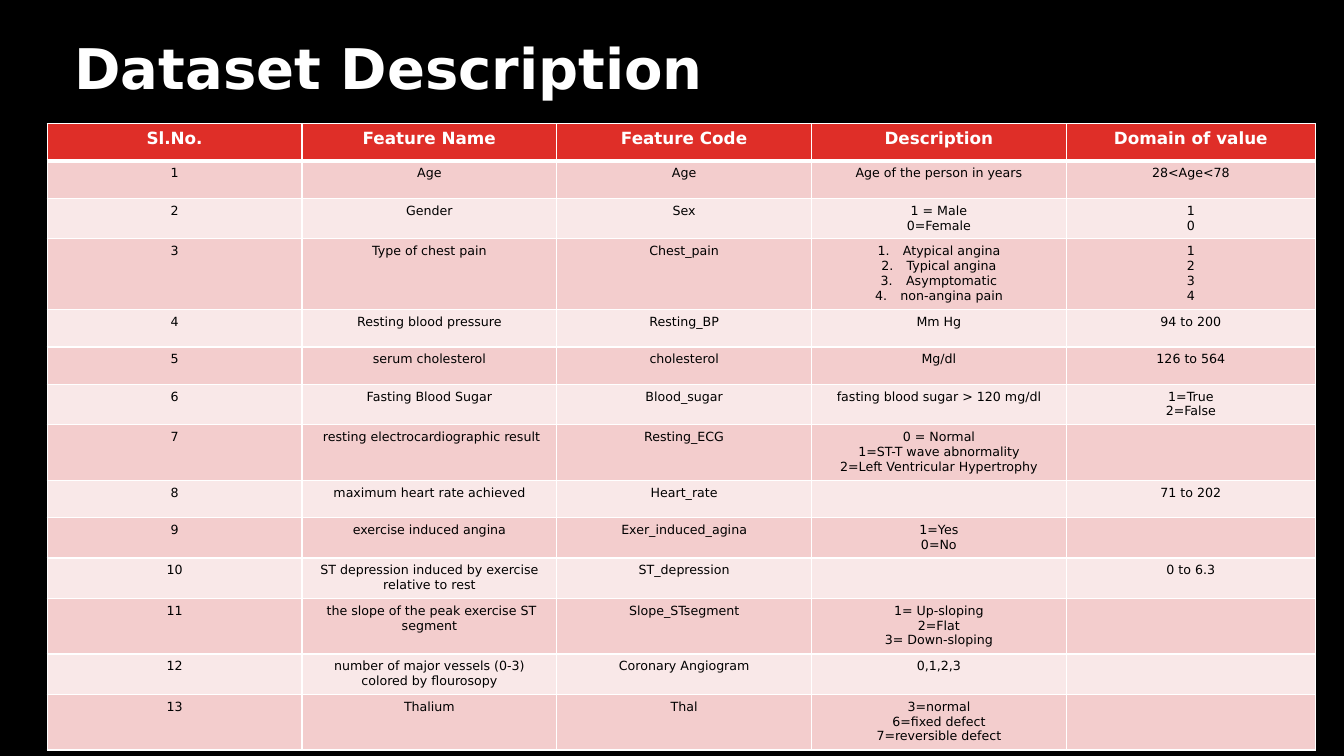
from dataclasses import dataclass
from math import ceil

from lxml import etree
from pptx import Presentation
from pptx.dml.color import RGBColor
from pptx.enum.text import MSO_ANCHOR, PP_ALIGN
from pptx.oxml.ns import qn
from pptx.util import Cm, Pt

MID = MSO_ANCHOR.MIDDLE
CENTER = PP_ALIGN.CENTER
JUST = PP_ALIGN.JUSTIFY


@dataclass(frozen=True)
class Theme:
    font: str = "DejaVu Sans"
    black: str = "000000"
    white: str = "FFFFFF"
    red: str = "DF2E28"
    odd: str = "F3CDCD"
    even: str = "F9E8E8"
    title: int = 40
    head: int = 12
    body: int = 9
    thin: int = 1
    thick: int = 3


THEME = Theme()
WRAP = 36
WIDTHS = [6.42] * 4 + [6.28]
HEADS = ["Sl.No.", "Feature Name", "Feature Code", "Description", "Domain of value"]
PAIN = "Atypical angina\nTypical angina\nAsymptomatic\nnon-angina pain"
ROWS = [
    ["Age", "Age", "Age of the person in years", "28<Age<78"],
    ["Gender", "Sex", "1 = Male\n0=Female", "1\n0"],
    ["Type of chest pain", "Chest_pain", PAIN, "1\n2\n3\n4"],
    ["Resting blood pressure", "Resting_BP", "Mm Hg", "94 to 200"],
    ["serum cholesterol", "cholesterol", "Mg/dl", "126 to 564"],
    ["Fasting Blood Sugar", "Blood_sugar", "fasting blood sugar > 120 mg/dl",
     "1=True\n2=False"],
    [" resting electrocardiographic result", "Resting_ECG",
     "0 = Normal\n1=ST-T wave abnormality\n2=Left Ventricular Hypertrophy", ""],
    ["maximum heart rate achieved", "Heart_rate", "", "71 to 202"],
    ["exercise induced angina", "Exer_induced_agina", "1=Yes\n0=No", ""],
    ["ST depression induced by exercise relative to rest", "ST_depression", "",
     "0 to 6.3"],
    [" the slope of the peak exercise ST segment", "Slope_STsegment",
     "1= Up-sloping\n2=Flat\n3= Down-sloping", ""],
    ["number of major vessels (0-3) colored by flourosopy", "Coronary Angiogram",
     "0,1,2,3", ""],
    ["Thalium", "Thal", "3=normal\n6=fixed defect\n7=reversible defect", ""],
]


def color(code):
    return RGBColor.from_string(code)


def number(para):
    props = para._p.get_or_add_pPr()
    props.set("marL", str(Cm(0.64)))
    props.set("indent", str(-Cm(0.64)))
    etree.SubElement(props, qn("a:buAutoNum"), type="arabicPeriod")


def write(frame, text, *, size, ink, bold=False, align=CENTER, space=None, listed=False):
    for i, line in enumerate(text.split("\n")):
        para = frame.add_paragraph() if i else frame.paragraphs[0]
        para.alignment = align
        para.line_spacing = space
        if listed:
            number(para)
        if not line:
            etree.SubElement(para._p, qn("a:endParaRPr"), sz=str(size * 100))
            continue
        run = para.add_run()
        run.text = line
        font = run.font
        font.name, font.size, font.bold = THEME.font, Pt(size), bold
        font.color.rgb = color(ink)


def border(cell, top, base):
    props = cell._tc.get_or_add_tcPr()
    sides = {"L": THEME.thin, "R": THEME.thin, "T": top, "B": base}
    for side, width in sides.items():
        line = etree.SubElement(props, qn(f"a:ln{side}"), w=str(Pt(width)))
        fill = etree.SubElement(line, qn("a:solidFill"))
        etree.SubElement(fill, qn("a:srgbClr"), val=THEME.white)


def style(cell, fill, top=THEME.thin, base=THEME.thin):
    border(cell, top, base)
    cell.fill.solid()
    cell.fill.fore_color.rgb = color(fill)


def height(texts):
    count = max(sum(ceil(len(line) / WRAP) for line in text.split("\n"))
                for text in texts)
    return Cm(max(0.94, 0.25 + 0.37 * count))


def add_title(slide, text):
    box = slide.shapes.add_textbox(Cm(1.63), Cm(0), Cm(23.92), Cm(3.58))
    frame = box.text_frame
    frame.word_wrap = True
    frame.vertical_anchor = MID
    write(frame, text, size=THEME.title, ink=THEME.white, bold=True, align=JUST, space=0.9)


def add_grid(slide):
    rows = [[str(i), *row] for i, row in enumerate(ROWS, 1)]
    tall = [height(row) for row in [HEADS, *rows]]
    table = slide.shapes.add_table(len(tall), len(HEADS), Cm(1.19), Cm(3.12),
                                   Cm(sum(WIDTHS)), sum(tall)).table
    for col, width in zip(table.columns, WIDTHS):
        col.width = Cm(width)
    for row, size in zip(table.rows, tall):
        row.height = size
    for c, text in enumerate(HEADS):
        cell = table.cell(0, c)
        style(cell, THEME.red, base=THEME.thick)
        write(cell.text_frame, text, size=THEME.head, ink=THEME.white, bold=True)
    for r, row in enumerate(rows, 1):
        fill = THEME.odd if r % 2 else THEME.even
        top = THEME.thick if r == 1 else THEME.thin
        for c, text in enumerate(row):
            cell = table.cell(r, c)
            style(cell, fill, top=top)
            write(cell.text_frame, text, size=THEME.body, ink=THEME.black,
                  listed=text == PAIN)


def main():
    deck = Presentation()
    deck.slide_width, deck.slide_height = Cm(33.87), Cm(19.05)
    slide = deck.slides.add_slide(deck.slide_layouts[6])
    back = slide.background.fill
    back.solid()
    back.fore_color.rgb = color(THEME.black)
    add_title(slide, "Dataset Description")
    add_grid(slide)
    deck.save("out.pptx")


if __name__ == "__main__":
    main()
